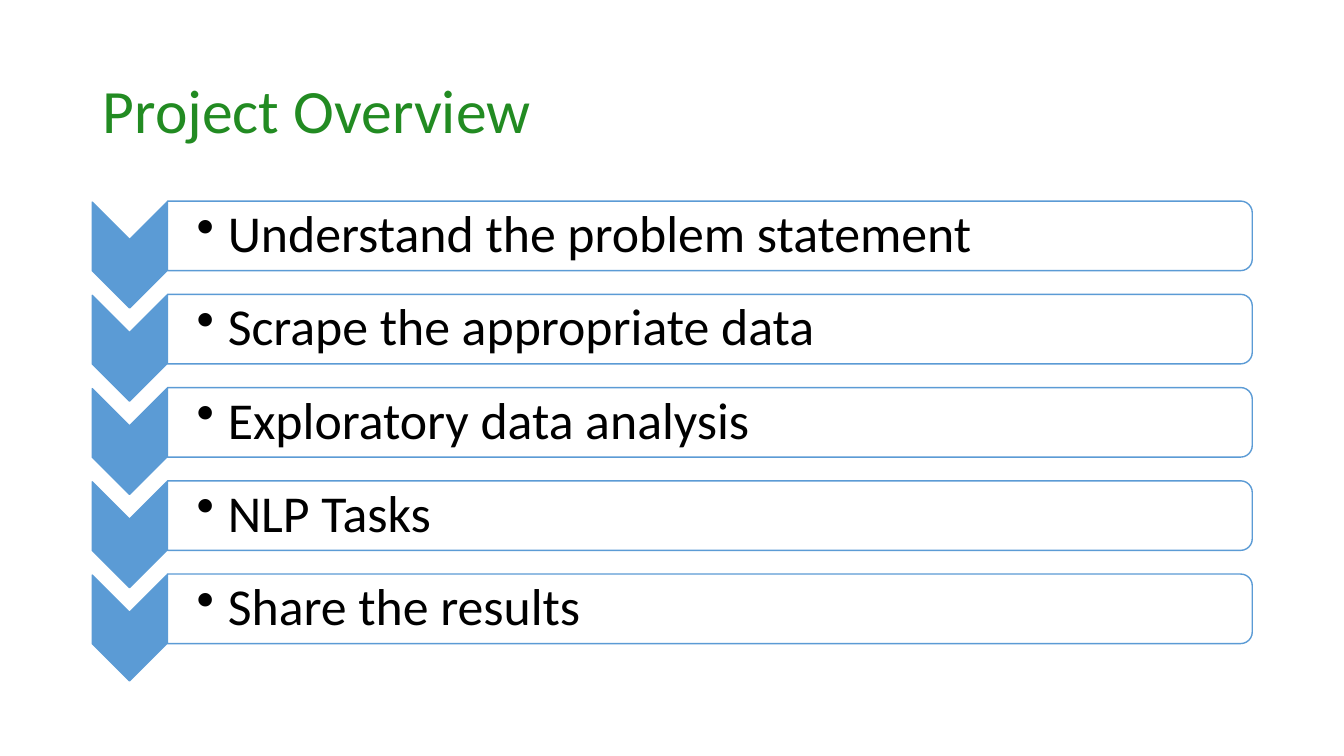
"""Build the Project Overview slide: five steps marked by downward chevrons."""
import pptx
import pptx.util
import pptx.dml.color
import pptx.enum.shapes
import pptx.enum.text
import pptx.oxml
import pptx.oxml.ns
import lxml.etree

Inches = pptx.util.Inches
Pt = pptx.util.Pt
RGBColor = pptx.dml.color.RGBColor
MSO_SHAPE = pptx.enum.shapes.MSO_SHAPE

TITLE = "Project Overview"
STEPS = [
    "Understand the problem statement",
    "Scrape the appropriate data",
    "Exploratory data analysis",
    "NLP Tasks",
    "Share the results",
]

FONT = "Calibri"
GREEN = RGBColor(0x22, 0x8B, 0x22)
BLUE = RGBColor(0x5B, 0x9B, 0xD5)
WHITE = RGBColor(0xFF, 0xFF, 0xFF)
BLACK = RGBColor(0, 0, 0)

BAR_LEFT, BAR_LENGTH, BAR_HEIGHT = 1.66, 10.76, 0.69
LABEL_WIDTH, LABEL_HEIGHT = 10.73, 0.62
CHEVRON_LENGTH, CHEVRON_WIDTH = 1.05, 0.74
CHEVRON_CENTER, CHEVRON_DROP = 1.285, 0.19
FIRST_CENTER, STEP_PITCH = 2.34, 0.925


def add_turned(slide, preset, center_x, center_y, width, height, fill):
    """Add a preset shape turned a quarter clockwise about its centre."""
    shape = slide.shapes.add_shape(
        preset, Inches(center_x - width / 2), Inches(center_y - height / 2),
        Inches(width), Inches(height))
    shape.rotation = 90
    shape.shadow.inherit = False
    shape.fill.solid()
    shape.fill.fore_color.rgb = fill
    shape.line.color.rgb = BLUE
    shape.line.width = Pt(1)
    return shape


def style(paragraph, size, color):
    """Set the font and line spacing of a paragraph."""
    paragraph.alignment = pptx.enum.text.PP_ALIGN.LEFT
    paragraph.line_spacing = 0.9
    paragraph.font.name = FONT
    paragraph.font.size = Pt(size)
    paragraph.font.color.rgb = color


def add_label(slide, step, center_y):
    """Add the bulleted text of a step."""
    label = slide.shapes.add_textbox(
        Inches(BAR_LEFT), Inches(center_y - LABEL_HEIGHT / 2),
        Inches(LABEL_WIDTH), Inches(LABEL_HEIGHT))
    frame = label.text_frame
    frame.word_wrap = True
    frame.vertical_anchor = pptx.enum.text.MSO_ANCHOR.MIDDLE
    frame.margin_left = Inches(0.29)
    frame.margin_top = frame.margin_right = frame.margin_bottom = Inches(0.03)
    paragraph = frame.paragraphs[0]
    paragraph.text = step
    style(paragraph, 37, BLACK)
    properties = paragraph._p.get_or_add_pPr()
    properties.set("marL", str(Inches(0.31)))
    properties.set("indent", str(-Inches(0.31)))
    bullet = lxml.etree.SubElement(properties, pptx.oxml.ns.qn("a:buChar"))
    bullet.set("char", "•")
    properties.remove(bullet)
    properties.insert_element_before(bullet, "a:tabLst", "a:defRPr", "a:extLst")


def add_step(slide, step, center_y):
    """Add the chevron, bar and label of a step."""
    add_turned(slide, MSO_SHAPE.CHEVRON, CHEVRON_CENTER,
               center_y + CHEVRON_DROP, CHEVRON_LENGTH, CHEVRON_WIDTH, BLUE)
    bar = add_turned(slide, MSO_SHAPE.ROUND_2_SAME_RECTANGLE,
                     BAR_LEFT + BAR_LENGTH / 2, center_y,
                     BAR_HEIGHT, BAR_LENGTH, WHITE)
    fill_color = bar._element.spPr.find(
        pptx.oxml.ns.qn("a:solidFill")).find(pptx.oxml.ns.qn("a:srgbClr"))
    lxml.etree.SubElement(
        fill_color, pptx.oxml.ns.qn("a:alpha")).set("val", "90000")
    add_label(slide, step, center_y)


def main():
    """Build and save the slide."""
    deck = pptx.Presentation()
    deck.slide_width, deck.slide_height = Inches(13.33), Inches(7.5)
    slide = deck.slides.add_slide(deck.slide_layouts[5])
    title = slide.shapes.title
    title.left, title.top = Inches(0.92), Inches(0.4)
    title.width, title.height = Inches(9.2), Inches(1.45)
    title.text_frame.text = TITLE
    title.text_frame.vertical_anchor = pptx.enum.text.MSO_ANCHOR.MIDDLE
    style(title.text_frame.paragraphs[0], 44, GREEN)
    for index, step in enumerate(STEPS):
        add_step(slide, step, FIRST_CENTER + index * STEP_PITCH)
    deck.save("out.pptx")


if __name__ == "__main__":
    main()
